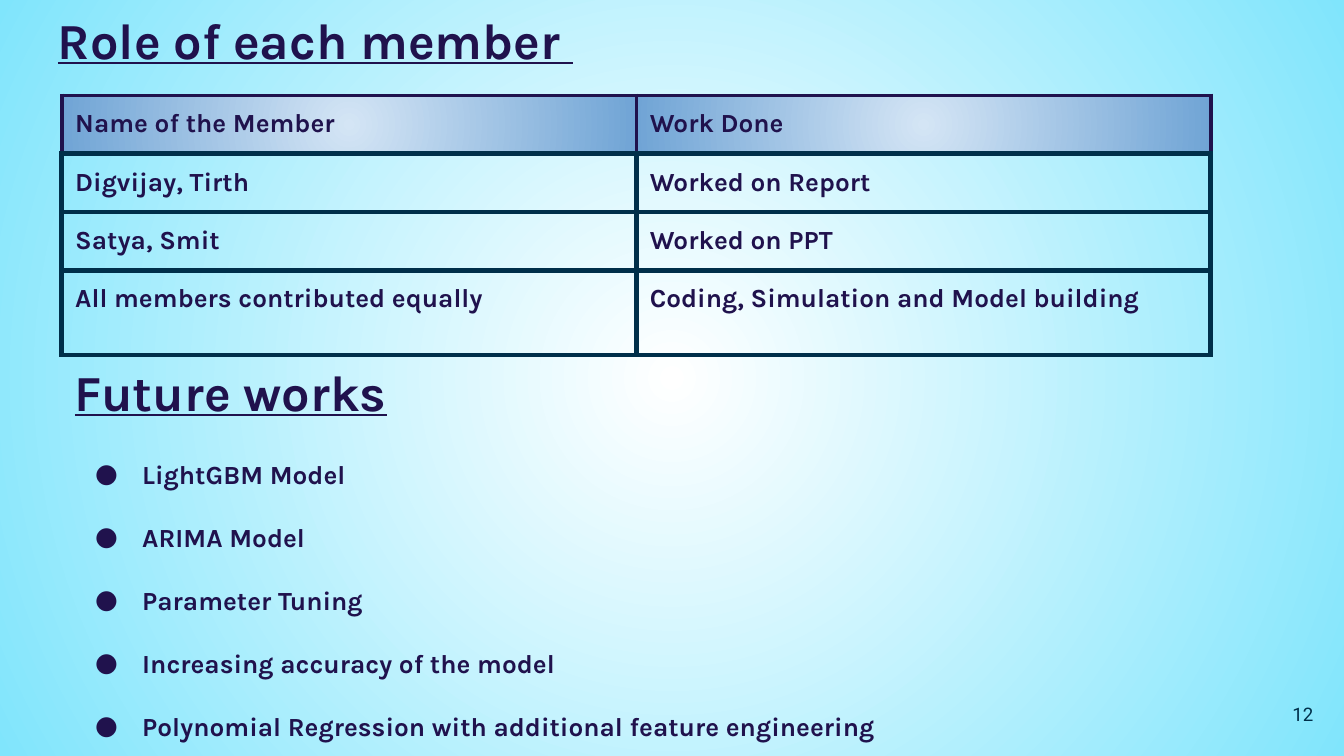
from lxml.etree import SubElement
from pptx import Presentation
from pptx.dml.color import RGBColor
from pptx.enum.text import MSO_ANCHOR, PP_ALIGN
from pptx.oxml import parse_xml
from pptx.oxml.ns import nsdecls, qn
from pptx.util import Inches, Pt

# Content
TITLE = "Role of each member "
SUBTITLE = "Future works"
ROLES = [
    ("Name of the Member", "Work Done"),
    ("Digvijay, Tirth", "Worked on Report"),
    ("Satya, Smit", "Worked on PPT"),
    ("All members contributed equally", "Coding, Simulation and Model building"),
]
FUTURE_WORKS = [
    "LightGBM Model",
    "ARIMA Model",
    "Parameter Tuning",
    "Increasing accuracy of the model",
    "Polynomial Regression with additional feature engineering",
]
PAGE_NUMBER = "12"

# Format
INDIGO = RGBColor(0x20, 0x12, 0x4D)
NAVY = RGBColor(0x00, 0x2F, 0x4A)
WHITE = RGBColor(0xFF, 0xFF, 0xFF)
SKY = RGBColor(0x80, 0xE5, 0xFC)
PALE_BLUE = RGBColor(0xD4, 0xE5, 0xF5)
STEEL_BLUE = RGBColor(0x70, 0xA4, 0xD5)
SLIDE_WIDTH = 10
SLIDE_HEIGHT = SLIDE_WIDTH * 9 / 16
LEFT = 0.46
TABLE_TOP, TABLE_WIDTH = 0.71, 8.55
ROW_HEIGHTS = [0.43, 0.43, 0.43, 0.63]
INSET = Inches(0.1)


def write(frame, lines, size=14, font="Karla", color=INDIGO, bold=True,
          underline=False, align=PP_ALIGN.LEFT, bullet=None, gap=0):
    """Fill a text frame with one paragraph per line."""
    for index, line in enumerate(lines):
        para = frame.paragraphs[0] if index == 0 else frame.add_paragraph()
        para.alignment = align
        para.space_before = Pt(0)
        para.space_after = Pt(gap)
        span = para.add_run()
        span.text = line
        span.font.size = Pt(size)
        span.font.name = font
        span.font.bold = bold
        span.font.underline = underline
        span.font.color.rgb = color
        if bullet:
            properties = para._p.get_or_add_pPr()
            properties.set("marL", str(Inches(0.5)))
            properties.set("indent", str(Inches(-0.35)))
            SubElement(properties, qn("a:buFont")).set("typeface", font)
            SubElement(properties, qn("a:buChar")).set("char", bullet)


def place(box, left, top, width, height, anchor=MSO_ANCHOR.MIDDLE):
    """Set a box's place and its text frame's margins; return the frame."""
    box.left, box.top = Inches(left), Inches(top)
    box.width, box.height = Inches(width), Inches(height)
    frame = box.text_frame
    frame.word_wrap = True
    frame.vertical_anchor = anchor
    frame.margin_left = frame.margin_right = INSET
    frame.margin_top = frame.margin_bottom = INSET
    return frame


def fill_radial(fill, element, inner, outer):
    """Give a fill a circular gradient from the centre outwards."""
    fill.gradient()
    for stop, color in zip(fill.gradient_stops, (inner, outer)):
        stop.color.rgb = color
    gradient = next(element.iter(qn("a:gradFill")))
    gradient.replace(gradient.find(qn("a:lin")), parse_xml(
        f'<a:path {nsdecls("a")} path="circle">'
        '<a:fillToRect l="50000" t="50000" r="50000" b="50000"/></a:path>'))


def set_borders(cell, borders):
    """Draw borders given as (colour, points) for left, right, top, bottom."""
    properties = cell._tc.get_or_add_tcPr()
    for index, (side, (color, width)) in enumerate(zip("LRTB", borders)):
        properties.insert(index, parse_xml(
            f'<a:ln{side} {nsdecls("a")} w="{Pt(width)}"><a:solidFill>'
            f'<a:srgbClr val="{color}"/></a:solidFill></a:ln{side}>'))


deck = Presentation()
deck.slide_width = Inches(SLIDE_WIDTH)
deck.slide_height = Inches(SLIDE_HEIGHT)
page = deck.slides.add_slide(deck.slide_layouts[5])
fill_radial(page.background.fill, page._element, WHITE, SKY)

# Headings
title_frame = place(page.shapes.title, 0.33, 0, 4.34, 0.59)
write(title_frame, [TITLE], size=27, underline=True)
subtitle_box = page.shapes.add_textbox(0, 0, 0, 0)
write(place(subtitle_box, LEFT, 2.53, 2.87, 0.77), [SUBTITLE],
      size=27, underline=True)

# Bulleted list
list_box = page.shapes.add_textbox(0, 0, 0, 0)
write(place(list_box, LEFT, 3.31, 6.85, 2.52, MSO_ANCHOR.TOP),
      FUTURE_WORKS, bullet="●", gap=16.9)

# Table of roles
table = page.shapes.add_table(
    len(ROLES), len(ROLES[0]), Inches(LEFT), Inches(TABLE_TOP),
    Inches(TABLE_WIDTH), Inches(sum(ROW_HEIGHTS))).table
table.first_row = table.horz_banding = False
thin, thick = (INDIGO, 2.25), (NAVY, 3)
for row_index, (texts, height) in enumerate(zip(ROLES, ROW_HEIGHTS)):
    table.rows[row_index].height = Inches(height)
    for column_index, text in enumerate(texts):
        cell = table.cell(row_index, column_index)
        cell.margin_left = cell.margin_right = INSET
        cell.margin_top = cell.margin_bottom = INSET
        write(cell.text_frame, [text])
        if row_index == 0:
            fill_radial(cell.fill, cell._tc, PALE_BLUE, STEEL_BLUE)
            set_borders(cell, [thin, thin, thin, thick])
        else:
            cell.fill.background()
            set_borders(cell, [thick] * 4)

# Page number
number_box = page.shapes.add_textbox(0, 0, 0, 0)
write(place(number_box, 9.27, 5.1, 0.6, 0.43), [PAGE_NUMBER], size=10,
      font="Roboto", color=NAVY, bold=False, align=PP_ALIGN.RIGHT)

deck.save("out.pptx")
